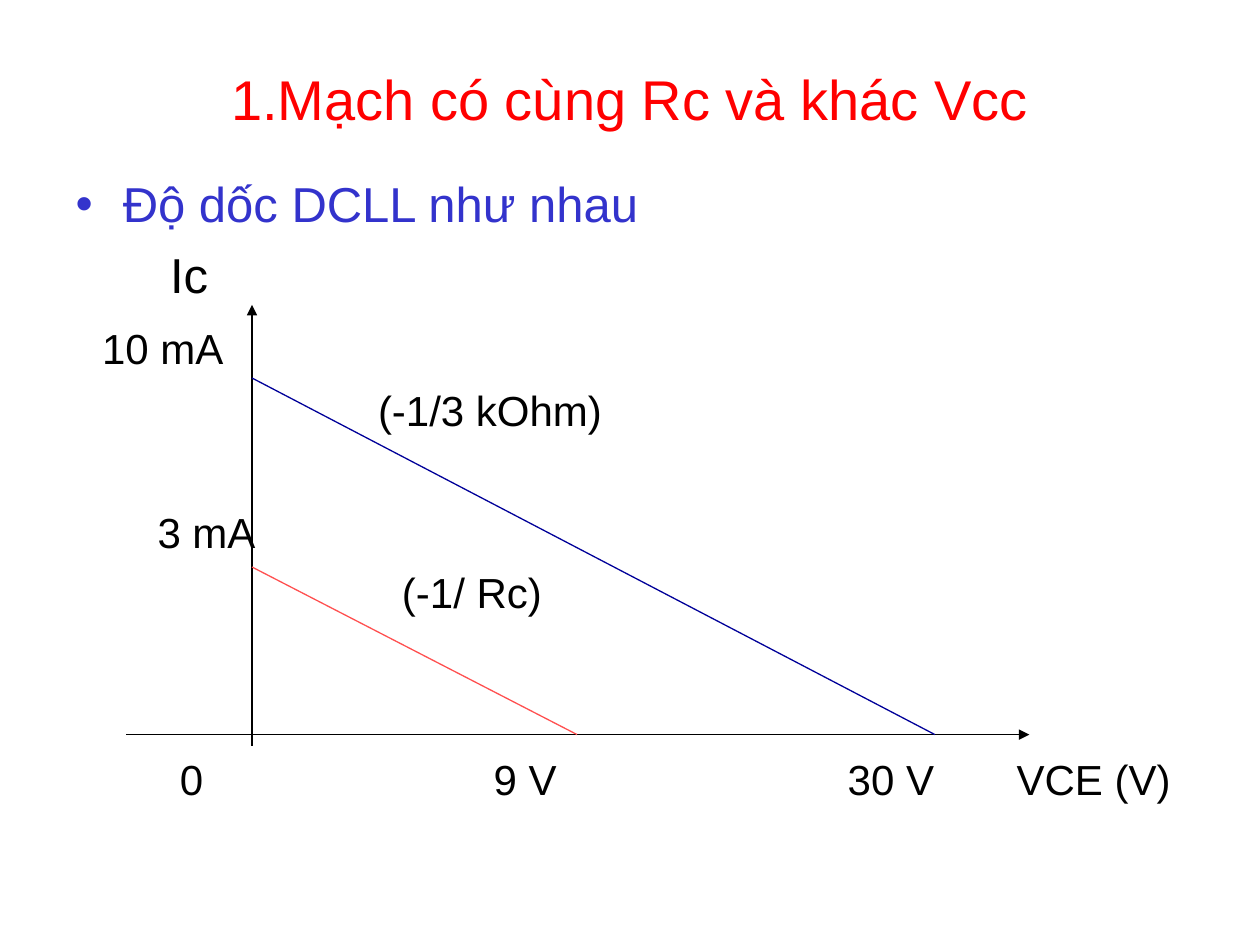
from dataclasses import dataclass

from lxml import etree
from pptx import Presentation
from pptx.dml.color import RGBColor
from pptx.enum.shapes import MSO_CONNECTOR
from pptx.enum.text import MSO_ANCHOR, MSO_AUTO_SIZE, PP_ALIGN
from pptx.oxml.ns import qn
from pptx.util import Inches, Pt

LINE = MSO_CONNECTOR.STRAIGHT
MIDDLE, TOP = MSO_ANCHOR.MIDDLE, MSO_ANCHOR.TOP
CENTER, LEFT = PP_ALIGN.CENTER, PP_ALIGN.LEFT
FIXED = MSO_AUTO_SIZE.NONE


@dataclass
class Theme:
    font: str = "Arial"
    red: str = "FF0000"
    blue: str = "3333CC"
    black: str = "000000"
    navy: str = "000099"
    coral: str = "FF5050"
    title: int = 32
    lead: int = 28
    label: int = 24
    stroke: float = 0.75


theme = Theme()


def add_run(para, text, size, color):
    run = para.add_run()
    run.text = text
    run.font.name = theme.font
    run.font.size = Pt(size)
    run.font.color.rgb = RGBColor.from_string(color)


def add_line(start, end, color, arrow=False):
    line = slide.shapes.add_connector(LINE, *map(Inches, start + end))
    line.line.color.rgb = RGBColor.from_string(color)
    line.line.width = Pt(theme.stroke)
    props = line._element.spPr
    if arrow:
        etree.SubElement(props.find(qn("a:ln")), qn("a:tailEnd"), type="triangle")
    etree.SubElement(props, qn("a:effectLst"))


deck = Presentation()
deck.slide_width, deck.slide_height = Inches(10), Inches(7.5)
slide = deck.slides.add_slide(deck.slide_layouts[1])
title, body = slide.placeholders

# Placeholders
for box, top, height, anchor in ((title, 0.3, 0.95, MIDDLE), (body, 1.33, 5.37, TOP)):
    box.left, box.top = Inches(0.5), Inches(top)
    box.width, box.height = Inches(9), Inches(height)
    box.text_frame.auto_size = FIXED
    box.text_frame.vertical_anchor = anchor

# Title
para = title.text_frame.paragraphs[0]
para.alignment = CENTER
add_run(para, "1.Mạch có cùng Rc và khác Vcc", theme.title, theme.red)

# Bullet
tall, row = 33.5, 28.7
para = body.text_frame.paragraphs[0]
para.alignment = LEFT
para.line_spacing, para.space_before = Pt(tall), Pt(7)
add_run(para, "Độ dốc DCLL như nhau", theme.lead, theme.blue)

# Graph labels: text, size, indent, line height, space before
labels = (
    ("Ic", theme.lead, 0.75, tall, 7),
    ("10 mA", theme.label, 0.21, tall, 6),
    ("(-1/3 kOhm)", theme.label, 2.4, row, 7),
    ("3 mA", theme.label, 0.65, row, row + 12),
    ("(-1/ Rc)", theme.label, 2.59, row, 6),
)
for text, size, indent, height, space in labels:
    para = body.text_frame.add_paragraph()
    para.alignment = LEFT
    para.line_spacing, para.space_before = Pt(height), Pt(space)
    add_run(para, text, size, theme.black)
    props = para._p.get_or_add_pPr()
    props.set("marL", str(Inches(indent)))
    props.set("indent", "0")
    etree.SubElement(props, qn("a:buNone"))

# Labels under the horizontal axis
for text, left in (("0", 1.33), ("9 V", 3.82), ("30 V", 6.63), ("VCE (V)", 7.97)):
    box = slide.shapes.add_textbox(Inches(left), Inches(5.93), Inches(1.5), Inches(0.48))
    box.text_frame.word_wrap = True
    para = box.text_frame.paragraphs[0]
    para.alignment = LEFT
    add_run(para, text, theme.label, theme.black)

# Axes
zero, base = 2, 5.83
add_line((zero, 5.92), (zero, 2.42), theme.black, arrow=True)
add_line((1, base), (8.17, base), theme.black, arrow=True)

# Load lines
add_line((zero, 3), (7.42, base), theme.navy)
add_line((zero, 4.5), (4.58, base), theme.coral)

deck.save("out.pptx")
